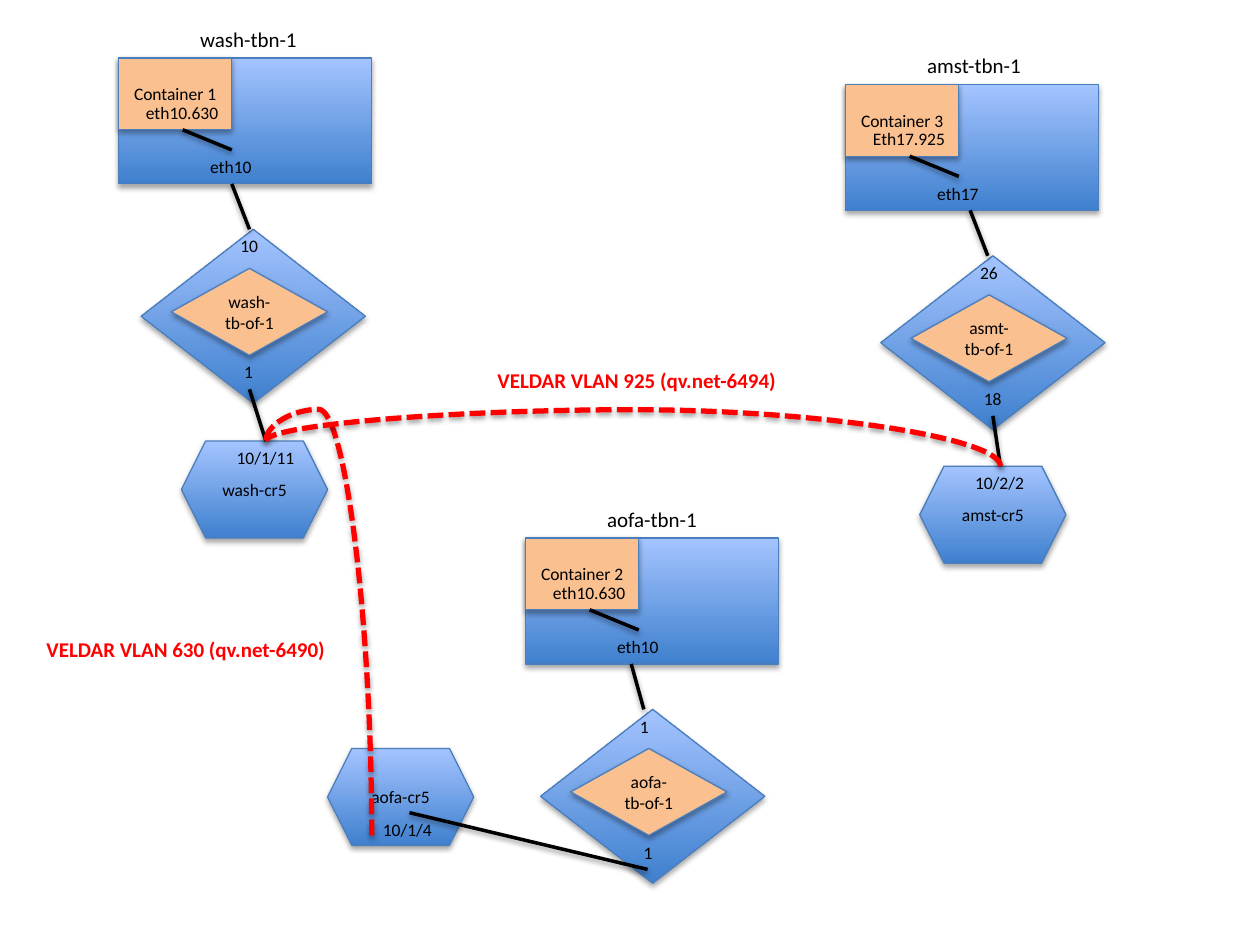
import pptx
import pptx.util
import pptx.dml.color
import pptx.enum.dml
import pptx.enum.shapes
import pptx.enum.text
import pptx.oxml
import pptx.oxml.ns

Inches = pptx.util.Inches
Pt = pptx.util.Pt
KIND = pptx.enum.shapes.MSO_SHAPE
WIRE = pptx.enum.shapes.MSO_CONNECTOR
ALIGN = pptx.enum.text.PP_ALIGN
NS = pptx.oxml.ns.nsdecls("a")
DARK, LIGHT, PEACH, EDGE = "3F80CE", "A4C4FF", "FAC090", "4B7EBC"
BLACK, RED = "000000", "FF0000"


def color(code):
    """Turn a hex string into a color."""
    return pptx.dml.color.RGBColor.from_string(code)


def shade(item, dist, alpha):
    """Put a soft shadow below a shape or line."""
    item._element.spPr.append(pptx.oxml.parse_xml(
        f'<a:effectLst {NS}><a:outerShdw blurRad="40000" dist="{dist}" '
        f'dir="5400000" rotWithShape="0"><a:srgbClr val="{BLACK}">'
        f'<a:alpha val="{alpha}"/></a:srgbClr></a:outerShdw></a:effectLst>'))


def write(frame, text, size=10, ink=BLACK, bold=False, align=ALIGN.LEFT):
    """Write one formatted paragraph into a text frame."""
    para = frame.paragraphs[0]
    para.alignment = align
    run = para.add_run()
    run.text = text
    run.font.name = "Calibri"
    run.font.size = Pt(size)
    run.font.bold = bold
    run.font.color.rgb = color(ink)


def label(slide, x, y, wide, text, high=0.27, **look):
    """Add a free label that does not wrap."""
    box = slide.shapes.add_textbox(
        Inches(x), Inches(y), Inches(wide), Inches(high))
    box.text_frame.word_wrap = False
    box.text_frame.auto_size = pptx.enum.text.MSO_AUTO_SIZE.SHAPE_TO_FIT_TEXT
    write(box.text_frame, text, **look)


def block(slide, kind, x, y, wide, high, text="", fill=None):
    """Add a shadowed shape, with the blue gradient unless a fill is given."""
    shape = slide.shapes.add_shape(
        kind, Inches(x), Inches(y), Inches(wide), Inches(high))
    if fill:
        shape.fill.solid()
        shape.fill.fore_color.rgb = color(fill)
    else:
        shape.fill.gradient()
        shape.fill.gradient_angle = 90
        for stop, place, code in zip(
                shape.fill.gradient_stops, (0, 1), (DARK, LIGHT)):
            stop.position = place
            stop.color.rgb = color(code)
    shape.line.color.rgb = color(EDGE)
    shape.line.width = Pt(0.75)
    shade(shape, 23000, 35000)
    if text:
        frame = shape.text_frame
        frame.word_wrap = True
        frame.vertical_anchor = pptx.enum.text.MSO_ANCHOR.MIDDLE
        write(frame, text, align=ALIGN.CENTER)


def wire(slide, x1, y1, x2, y2):
    """Add a straight black link."""
    link = slide.shapes.add_connector(
        WIRE.STRAIGHT, Inches(x1), Inches(y1), Inches(x2), Inches(y2))
    link.line.color.rgb = color(BLACK)
    link.line.width = Pt(2)
    shade(link, 20000, 38000)


def arc(slide, x1, y1, x2, y2, bend):
    """Add a dashed red curve that leaves upward and bends to the left."""
    long, wide = y1 - y2, x1 - x2
    left, top = (x1 + x2 - long) / 2, (y1 + y2 - wide) / 2
    link = slide.shapes.add_connector(
        WIRE.CURVE, Inches(left), Inches(top),
        Inches(left + long), Inches(top + wide))
    props = link._element.spPr
    frame = props.find(pptx.oxml.ns.qn("a:xfrm"))
    frame.set("rot", "16200000")
    frame.set("flipV", "1")
    geom = props.find(pptx.oxml.ns.qn("a:prstGeom"))
    for old in list(geom):
        geom.remove(old)
    geom.append(pptx.oxml.parse_xml(
        f'<a:avLst {NS}><a:gd name="adj1" '
        f'fmla="val {round(bend * 100000)}"/></a:avLst>'))
    link.line.color.rgb = color(RED)
    link.line.width = Pt(3)
    link.line.dash_style = pptx.enum.dml.MSO_LINE.SQUARE_DOT
    shade(link, 20000, 38000)


def host(slide, x, y, name, wide, guest, inner, port):
    """Add a host with its container and ports."""
    block(slide, KIND.RECTANGLE, x, y, 2.01, 1)
    block(slide, KIND.RECTANGLE, x, y, 0.9, 0.57, guest, PEACH)
    label(slide, x + 0.55, y - 0.3, wide, name, 0.3, size=12)
    label(slide, x + 0.63, y + 0.73, 0.54, port)
    label(slide, x + 0.12, y + 0.3, 0.78, inner)
    wire(slide, x + 0.51, y + 0.57, x + 0.9, y + 0.73)


def switch(slide, x, y, name, above, below):
    """Add a switch with its upper and lower port."""
    block(slide, KIND.DIAMOND, x, y, 1.78, 1.38)
    block(slide, KIND.DIAMOND, x + 0.24, y + 0.31, 1.24, 0.69, name, PEACH)
    for dx, dy, port in ((0.69, 0, above), (0.72, 1, below)):
        label(slide, x + dx, y + dy, 0.2 + 0.07 * len(port), port)


def router(slide, x, y, name, port, wide, drop=0):
    """Add a router with its port."""
    block(slide, KIND.HEXAGON, x, y, 1.16, 0.77, name)
    label(slide, x + 0.34, y + drop, wide, port)


def main():
    """Build the network slide."""
    deck = pptx.Presentation()
    deck.slide_width, deck.slide_height = Inches(10), Inches(7.5)
    slide = deck.slides.add_slide(deck.slide_layouts[6])
    for row in (
            (0.94, 0.46, "wash-tbn-1", 0.98, "Container 1", "eth10.630", "eth10"),
            (4.17, 4.27, "aofa-tbn-1", 0.92, "Container 2", "eth10.630", "eth10"),
            (6.71, 0.67, "amst-tbn-1", 0.96, "Container 3", "Eth17.925", "eth17")):
        host(slide, *row)
    for row in ((1.12, 1.82, "wash-tb-of-1", "10", "1"),
                (6.99, 2.03, "asmt-tb-of-1", "26", "18"),
                (4.29, 5.63, "aofa-tb-of-1", "1", "1")):
        switch(slide, *row)
    for row in ((1.44, 3.5, "wash-cr5", "10/1/11", 0.67),
                (7.3, 3.7, "amst-cr5", "10/2/2", 0.59),
                (2.6, 5.94, "aofa-cr5", "10/1/4", 0.59, 0.51)):
        router(slide, *row)
    for ends in ((1.84, 1.46, 1.98, 1.82), (1.98, 3.09, 2.11, 3.5),
                 (7.7, 1.67, 7.84, 2.03), (7.88, 3.3, 7.94, 3.7),
                 (5.01, 5.27, 5.11, 5.63), (5.14, 6.9, 3.25, 6.45)):
        wire(slide, *ends)
    arc(slide, 2.95, 6.63, 2.11, 3.5, 1.08)
    arc(slide, 7.94, 3.7, 2.11, 3.5, 2.24)
    for x, y, text in ((3.85, 2.87, "VELDAR VLAN 925 (qv.net-6494)"),
                       (0.27, 5, "VELDAR VLAN 630 (qv.net-6490)")):
        label(slide, x, y, 2.44, text, 0.3, size=12, ink=RED, bold=True)
    deck.save("out.pptx")


main()
